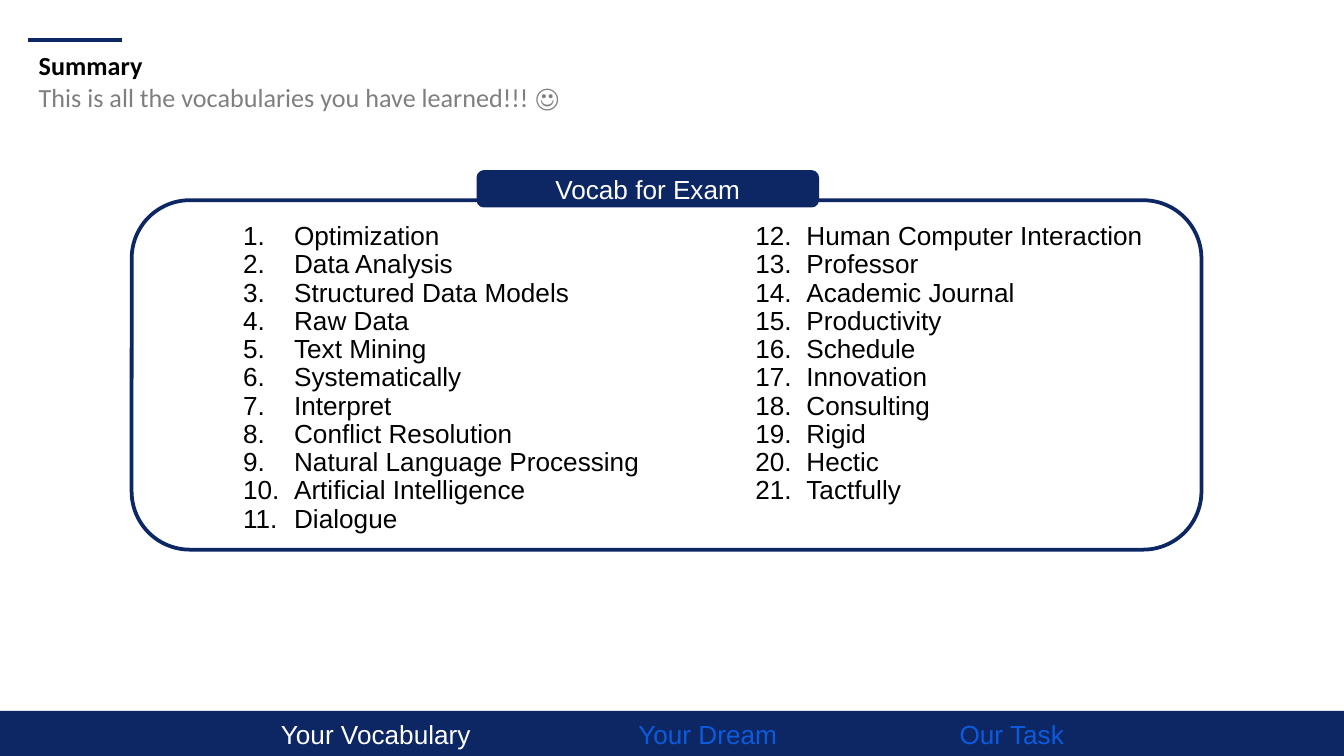
from lxml import etree
from pptx import Presentation
from pptx.dml.color import RGBColor
from pptx.enum.shapes import MSO_CONNECTOR as CONN, MSO_SHAPE as SHAPE
from pptx.enum.text import MSO_ANCHOR as ANCHOR, PP_ALIGN as ALIGN
from pptx.oxml.ns import qn
from pptx.util import Inches, Pt

COLORS = {"navy": "0C2764", "blue": "0D5BDC", "white": "FFFFFF", "black": "000000", "gray": "7F7F7F"}

TITLE = "Summary"
SUBTITLE = "This is all the vocabularies you have learned!!! ☺"
PANEL_LABEL = "Vocab for Exam"
LEFT_WORDS = [
    "Optimization", "Data Analysis", "Structured Data Models", "Raw Data",
    "Text Mining", "Systematically", "Interpret", "Conflict Resolution",
    "Natural Language Processing", "Artificial Intelligence", "Dialogue",
]
RIGHT_WORDS = [
    "Human Computer Interaction", "Professor", "Academic Journal", "Productivity",
    "Schedule", "Innovation", "Consulting", "Rigid", "Hectic", "Tactfully",
]
SECTIONS = [("Your Vocabulary", 2.09, "white"), ("Your Dream", 4.75, "blue"), ("Our Task", 7.14, "blue")]
HANG = 0.38


def rgb(name):
    return RGBColor.from_string(COLORS[name])


def add_text(p, text, color="black", font="Arial", size=14, bold=False, align=None):
    if align is not None:
        p.alignment = align
    r = p.add_run()
    r.text = text
    r.font.name, r.font.size, r.font.bold = font, Pt(size), bold
    r.font.color.rgb = rgb(color)


def add_box(shapes, kind, at, fill=None, line=None):
    sp = shapes.add_shape(kind, *map(Inches, at))
    sp.shadow.inherit = False
    if fill:
        sp.fill.solid()
        sp.fill.fore_color.rgb = rgb(fill)
    else:
        sp.fill.background()
    if line:
        sp.line.color.rgb = rgb(line)
        sp.line.width = Pt(2)
    else:
        sp.line.fill.background()
    sp.text_frame.vertical_anchor = ANCHOR.MIDDLE
    return sp


def add_textbox(shapes, at):
    tf = shapes.add_textbox(*map(Inches, at)).text_frame
    tf.word_wrap = True
    return tf


def paragraph(tf, i):
    return tf.add_paragraph() if i else tf.paragraphs[0]


def number(p, indent):
    pPr = p._p.get_or_add_pPr()
    pPr.set("marL", str(Inches(indent)))
    pPr.set("indent", str(Inches(-HANG)))
    color = etree.SubElement(pPr, qn("a:buClr"))
    etree.SubElement(color, qn("a:srgbClr"), val=COLORS["black"])
    etree.SubElement(pPr, qn("a:buFont"), typeface="Arial")
    etree.SubElement(pPr, qn("a:buAutoNum"), type="arabicPeriod")
    p.line_spacing = 0.9


def add_header(shapes):
    rule = shapes.add_connector(CONN.STRAIGHT, *map(Inches, (0.21, 0.3, 0.91, 0.3)))
    rule.line.color.rgb = rgb("navy")
    rule.line.width = Pt(2.25)
    etree.SubElement(rule._element.spPr, qn("a:effectLst"))
    tf = add_textbox(shapes, (0.19, 0.32, 6.27, 0.57))
    add_text(paragraph(tf, 0), TITLE, font="Calibri", bold=True)
    add_text(paragraph(tf, 1), SUBTITLE, color="gray", font="Calibri")


def add_footer(shapes):
    tf = add_box(shapes, SHAPE.RECTANGLE, (0, 5.29, 10, 0.34), fill="navy").text_frame
    start = SECTIONS[0][1]
    tf.margin_left = Inches(start)
    p = tf.paragraphs[0]
    tabs = etree.SubElement(p._p.get_or_add_pPr(), qn("a:tabLst"))
    for i, (name, x, color) in enumerate(SECTIONS):
        if i:
            etree.SubElement(tabs, qn("a:tab"), pos=str(Inches(x - start)), algn="l")
        add_text(p, "\t" + name if i else name, color=color, align=ALIGN.LEFT)


def add_vocabulary(shapes):
    add_box(shapes, SHAPE.ROUNDED_RECTANGLE, (0.98, 1.49, 7.96, 2.6), line="navy")
    label = add_box(shapes, SHAPE.ROUNDED_RECTANGLE, (3.56, 1.28, 2.52, 0.25), fill="navy", line="navy")
    add_text(label.text_frame.paragraphs[0], PANEL_LABEL, color="white", align=ALIGN.CENTER)
    tf = add_textbox(shapes, (0.91, 1.61, 9.42, 2.49))
    tf._txBody.bodyPr.set("numCol", "2")
    words = [(w, 0.8 + HANG) for w in LEFT_WORDS] + [(w, HANG) for w in RIGHT_WORDS]
    for i, (word, indent) in enumerate(words):
        p = paragraph(tf, i)
        number(p, indent)
        add_text(p, word)


def main():
    prs = Presentation()
    prs.slide_width = Inches(10)
    prs.slide_height = prs.slide_width * 9 // 16
    s = prs.slides.add_slide(prs.slide_layouts[6])
    add_header(s.shapes)
    add_footer(s.shapes)
    add_vocabulary(s.shapes)
    prs.save("out.pptx")


if __name__ == "__main__":
    main()
